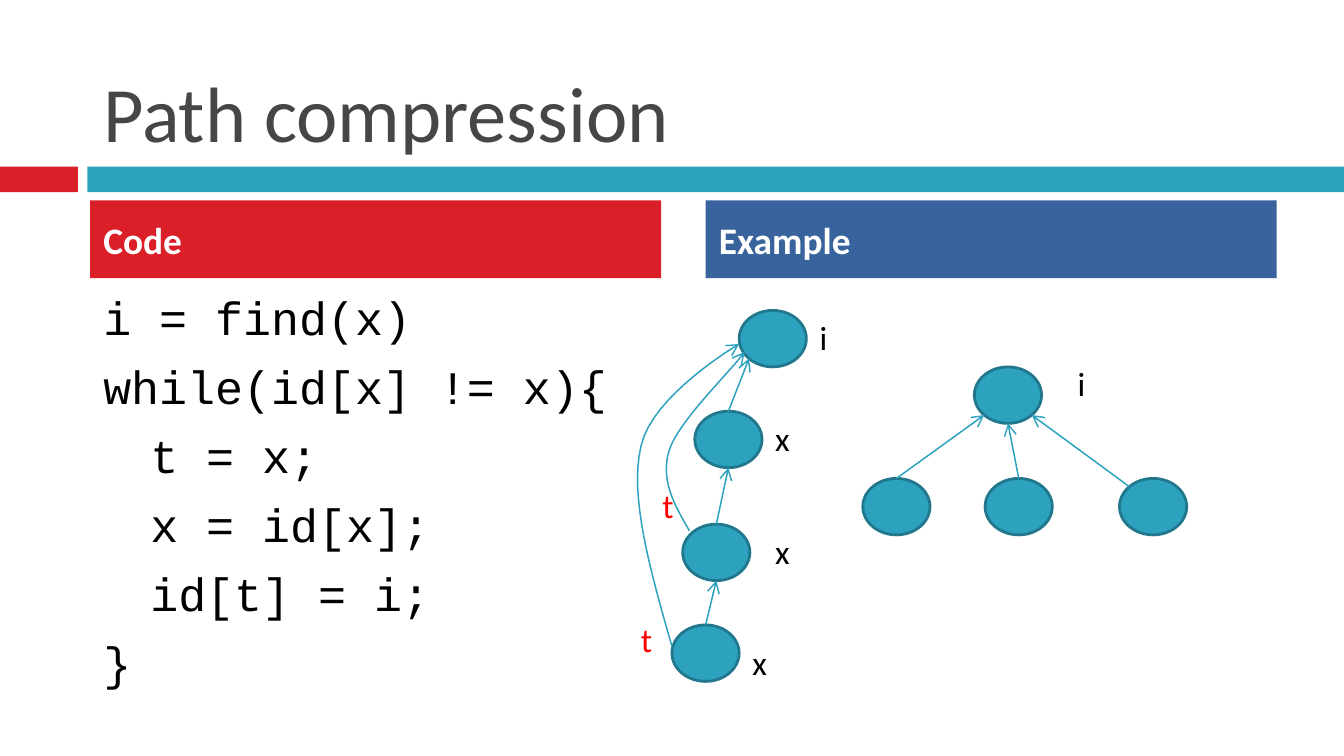
import math
from typing import NamedTuple

from lxml import etree
from pptx import Presentation
from pptx import util as u
from pptx.dml.color import RGBColor
from pptx.enum import shapes, text
from pptx.oxml import ns

COLORS = {"red": "DA1F28", "teal": "2DA2BF", "blue": "39639D", "rim": "21788D",
          "title": "464646", "black": "000000", "white": "FFFFFF", "mark": "FF0000"}
NODE_W, NODE_H = 0.5, 0.42
ANGLES = {"top": -90, "bottom": 90, "bottom_left": 135, "top_left": -135, "bottom_right": 45}


class Node(NamedTuple):
    left: float
    top: float

    def site(self, name: str) -> tuple[float, float]:
        angle = math.radians(ANGLES[name])
        return (self.left + NODE_W / 2 * (1 + math.cos(angle)),
                self.top + NODE_H / 2 * (1 + math.sin(angle)))


class Bar(NamedTuple):
    left: float
    top: float
    width: float
    height: float
    color: str
    heading: str = ""


class Edge(NamedTuple):
    child: Node
    child_site: str
    parent: Node
    parent_site: str


class Label(NamedTuple):
    left: float
    top: float
    wording: str
    color: str = "black"


class CodeLine(NamedTuple):
    wording: str
    indent: float = 0


CHAIN = [Node(5.5, 2.31), Node(5.17, 3.06), Node(5.08, 3.9), Node(5, 4.65)]
ROOT = Node(7.25, 2.73)
LEAVES = [Node(left, 3.56) for left in (6.42, 7.33, 8.33)]
BARS = [Bar(0, 1.24, 0.58, 0.19, "red"), Bar(0.65, 1.24, 9.35, 0.19, "teal"),
        Bar(0.67, 1.49, 4.25, 0.58, "red", "Code"),
        Bar(5.25, 1.49, 4.25, 0.58, "blue", "Example")]
EDGES = [Edge(CHAIN[1], "top", CHAIN[0], "bottom_left"),
         Edge(CHAIN[2], "top", CHAIN[1], "bottom"),
         Edge(CHAIN[3], "top", CHAIN[2], "bottom"),
         Edge(LEAVES[0], "top", ROOT, "bottom_left"),
         Edge(LEAVES[1], "top", ROOT, "bottom"),
         Edge(LEAVES[2], "top_left", ROOT, "bottom_right")]
LABELS = [Label(6, 2.31, "i"), Label(5.67, 3.06, "x"), Label(5.67, 3.9, "x"),
          Label(5.5, 4.73, "x"), Label(4.83, 3.56, "t", "mark"),
          Label(4.67, 4.56, "t", "mark"), Label(7.92, 2.65, "i")]
SHORTCUTS = [
    [(5, 4.81), (4.84, 4.25), (4.68, 3.69), (4.77, 3.32), (4.85, 2.94), (5.5, 2.56), (5.5, 2.56)],
    [(5.13, 3.95), (5.02, 3.76), (4.91, 3.57), (4.98, 3.35), (5.05, 3.13), (5.45, 2.75), (5.54, 2.62)],
]
CODE = [CodeLine("i = find(x)"), CodeLine("while(id[x] != x){"), CodeLine("t = x;", 0.35),
        CodeLine("x = id[x];", 0.35), CodeLine("id[t] = i;", 0.35), CodeLine("}")]


def rgb(name: str) -> RGBColor:
    return RGBColor.from_string(COLORS[name])


def style(paragraph, size: float, color: str, face: str = "Calibri", bold: bool = False) -> None:
    paragraph.alignment = text.PP_ALIGN.LEFT
    paragraph.font.size = u.Pt(size)
    paragraph.font.name = face
    paragraph.font.bold = bold
    paragraph.font.color.rgb = rgb(color)


def add_frame(slide, left: float, top: float, width: float, height: float):
    frame = slide.shapes.add_textbox(*map(u.Inches, (left, top, width, height))).text_frame
    frame.word_wrap = True
    return frame


def add_bar(slide, bar: Bar) -> None:
    band = slide.shapes.add_shape(shapes.MSO_SHAPE.RECTANGLE, *map(u.Inches, bar[:4]))
    band.shadow.inherit = False
    band.fill.solid()
    band.fill.fore_color.rgb = rgb(bar.color)
    band.line.fill.background()
    if bar.heading:
        band.text_frame.text = bar.heading
        band.text_frame.vertical_anchor = text.MSO_ANCHOR.MIDDLE
        style(band.text_frame.paragraphs[0], 20, "white", bold=True)


def add_node(slide, node: Node) -> None:
    oval = slide.shapes.add_shape(
        shapes.MSO_SHAPE.OVAL, *map(u.Inches, (node.left, node.top, NODE_W, NODE_H)))
    oval.shadow.inherit = False
    oval.fill.solid()
    oval.fill.fore_color.rgb = rgb("teal")
    oval.line.color.rgb = rgb("rim")
    oval.line.width = u.Pt(1.5)


def style_arrow(line) -> None:
    line.color.rgb = rgb("teal")
    line.width = u.Pt(0.79)
    etree.SubElement(line._get_or_add_ln(), ns.qn("a:tailEnd"), type="arrow")


def add_edge(slide, edge: Edge) -> None:
    start = edge.child.site(edge.child_site)
    end = edge.parent.site(edge.parent_site)
    link = slide.shapes.add_connector(shapes.MSO_CONNECTOR.STRAIGHT, *map(u.Inches, start + end))
    style_arrow(link.line)
    etree.SubElement(link._element.spPr, ns.qn("a:effectLst"))


def bezier(controls: list[tuple[float, float]], t: float) -> tuple[float, float]:
    weights = [math.comb(3, k) * (1 - t) ** (3 - k) * t ** k for k in range(4)]
    return (sum(w * x for w, (x, _) in zip(weights, controls)),
            sum(w * y for w, (_, y) in zip(weights, controls)))


def add_shortcut(slide, controls: list[tuple[float, float]], steps: int = 16) -> None:
    points = [bezier(controls[first:first + 4], step / steps)
              for first in (0, 3) for step in range(1, steps + 1)]
    builder = slide.shapes.build_freeform(*map(u.Inches, controls[0]))
    builder.add_line_segments([(u.Inches(x), u.Inches(y)) for x, y in points], close=False)
    curve = builder.convert_to_shape()
    curve.shadow.inherit = False
    curve.fill.background()
    style_arrow(curve.line)


def add_label(slide, label: Label) -> None:
    frame = add_frame(slide, label.left, label.top, 0.5, 0.4)
    frame.text = label.wording
    style(frame.paragraphs[0], 18, label.color)


def add_code(slide, lines: list[CodeLine]) -> None:
    frame = add_frame(slide, 0.67, 2.1, 4.25, 2.88)
    frame.text = "\n".join(line.wording for line in lines)
    for paragraph, line in zip(frame.paragraphs, lines):
        style(paragraph, 25, "black", "Courier New")
        paragraph.space_before = u.Pt(7)
        paragraph._p.get_or_add_pPr().set("marL", str(u.Inches(line.indent)))


def main() -> None:
    """Build the path compression slide."""
    deck = Presentation()
    deck.slide_width = u.Inches(10)
    deck.slide_height = u.Inches(10 * 9 / 16)
    slide = deck.slides.add_slide(deck.slide_layouts[6])
    for bar in BARS:
        add_bar(slide, bar)
    title = add_frame(slide, 0.67, 0.13, 8.92, 1.1)
    title.vertical_anchor = text.MSO_ANCHOR.BOTTOM
    title.text = "Path compression"
    style(title.paragraphs[0], 42, "title")
    add_code(slide, CODE)
    for node in [*CHAIN, ROOT, *LEAVES]:
        add_node(slide, node)
    for edge in EDGES:
        add_edge(slide, edge)
    for controls in SHORTCUTS:
        add_shortcut(slide, controls)
    for label in LABELS:
        add_label(slide, label)
    deck.save("out.pptx")


if __name__ == "__main__":
    main()
